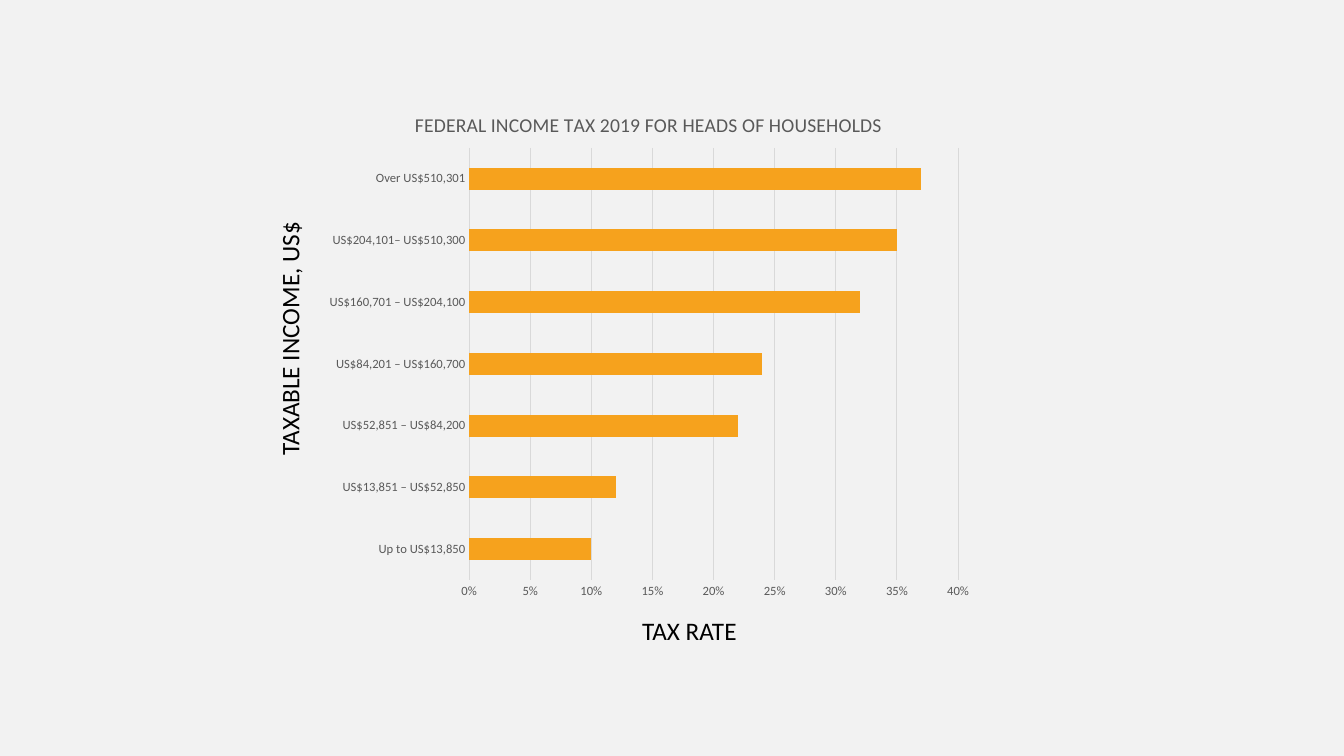
from dataclasses import dataclass

from pptx import Presentation
from pptx.chart.data import CategoryChartData
from pptx.dml.color import RGBColor
from pptx.enum.chart import XL_CHART_TYPE, XL_TICK_MARK
from pptx.enum.text import MSO_AUTO_SIZE
from pptx.oxml import parse_xml
from pptx.oxml.ns import nsdecls, qn
from pptx.util import Inches, Pt

BAR = XL_CHART_TYPE.BAR_CLUSTERED
NO_TICK = XL_TICK_MARK.NONE
GROW = MSO_AUTO_SIZE.SHAPE_TO_FIT_TEXT


@dataclass(frozen=True)
class Theme:
    """Colours, font and type sizes of the slide."""
    back: str = "F2F2F2"
    ink: str = "000000"
    grey: str = "595959"
    rule: str = "D9D9D9"
    bar: str = "F6A21D"
    face: str = "Calibri"
    label: int = 18
    title: int = 14
    base: int = 10
    tick: int = 9


THEME = Theme()
WIDE, HIGH = Inches(13.33), Inches(7.5)
RATES = {
    "Up to US$13,850": 0.1,
    "US$13,851 – US$52,850": 0.12,
    "US$52,851 – US$84,200": 0.22,
    "US$84,201 – US$160,700": 0.24,
    "US$160,701 – US$204,100": 0.32,
    "US$204,101– US$510,300": 0.35,
    "Over US$510,301": 0.37,
}


def area(box):
    """Turn percentages of the slide into left, top, width and height."""
    left, top, width, height = (share / 100 for share in box)
    return (int(left * WIDE), int(top * HIGH),
            int(width * WIDE), int(height * HIGH))


def style(font, size, color):
    """Set the face, size and colour of a font."""
    font.name, font.size, font.bold = THEME.face, Pt(size), False
    font.color.rgb = RGBColor.from_string(color)


def write(frame, text, size=THEME.label, color=THEME.ink):
    """Put one formatted run of text in a frame."""
    run = frame.paragraphs[0].add_run()
    run.text = text
    style(run.font, size, color)


def rule(line):
    """Draw a thin pale line."""
    line.width = Pt(0.75)
    line.color.rgb = RGBColor.from_string(THEME.rule)


def place(node, spot, inner="", **shares):
    """Fix a chart part at shares of the chart area."""
    for old in node.findall(qn("c:layout")):
        node.remove(old)
    modes = "".join(f'<c:{key}Mode val="edge"/>' for key in "xy")
    sizes = "".join(f'<c:{key} val="{val}"/>' for key, val in shares.items())
    node.insert(spot, parse_xml(
        f'<c:layout {nsdecls("c")}><c:manualLayout>'
        f'{inner}{modes}{sizes}</c:manualLayout></c:layout>'))


def draw_chart(slide, box):
    """Draw the bar chart of tax rates in the box."""
    data = CategoryChartData(number_format="0%")
    data.categories = list(RATES)
    data.add_series("Series 1", list(RATES.values()))
    chart = slide.shapes.add_chart(BAR, *area(box), data).chart
    style(chart.font, THEME.base, THEME.ink)
    chart.has_legend = False

    chart.has_title = True
    title = chart.chart_title
    write(title.text_frame, "FEDERAL INCOME TAX 2019 FOR HEADS OF HOUSEHOLDS",
          size=THEME.title, color=THEME.grey)
    place(title._element, 1, x=0.15, y=0.04)

    plot = chart.plots[0]
    plot.gap_width = 182
    plot.vary_by_categories = False
    fill = plot.series[0].format.fill
    fill.solid()
    fill.fore_color.rgb = RGBColor.from_string(THEME.bar)
    place(chart._chartSpace.chart.plotArea, 0,
          '<c:layoutTarget val="inner"/>', x=0.236, y=0.117, w=0.727, h=0.826)

    for axis in (chart.category_axis, chart.value_axis):
        axis.major_tick_mark = axis.minor_tick_mark = NO_TICK
        style(axis.tick_labels.font, THEME.tick, THEME.grey)
    chart.category_axis.has_major_gridlines = False
    rule(chart.category_axis.format.line)

    rate = chart.value_axis
    rate.minimum_scale, rate.maximum_scale, rate.major_unit = 0, 0.4, 0.05
    rate.has_major_gridlines = True
    rule(rate.major_gridlines.format.line)
    rate.format.line.fill.background()
    rate.tick_labels.number_format = "0%"
    rate.tick_labels.number_format_is_linked = False


def add_label(slide, box, text, turn=0):
    """Add an axis label in the box, turned by an angle."""
    shape = slide.shapes.add_textbox(*area(box))
    shape.rotation = turn
    frame = shape.text_frame
    frame.word_wrap = True
    frame.auto_size = GROW
    write(frame, text)


def main():
    """Build and save the slide."""
    deck = Presentation()
    deck.slide_width, deck.slide_height = WIDE, HIGH
    slide = deck.slides.add_slide(deck.slide_layouts[6])
    fill = slide.background.fill
    fill.solid()
    fill.fore_color.rgb = RGBColor.from_string(THEME.back)
    draw_chart(slide, (23.1, 11.47, 50.04, 69.2))
    add_label(slide, (47.04, 80.67, 19.8, 5.33), "TAX RATE")
    add_label(slide, (10.88, 39.87, 21.38, 5.47), "TAXABLE INCOME, US$", 270)
    deck.save("out.pptx")


if __name__ == "__main__":
    main()
